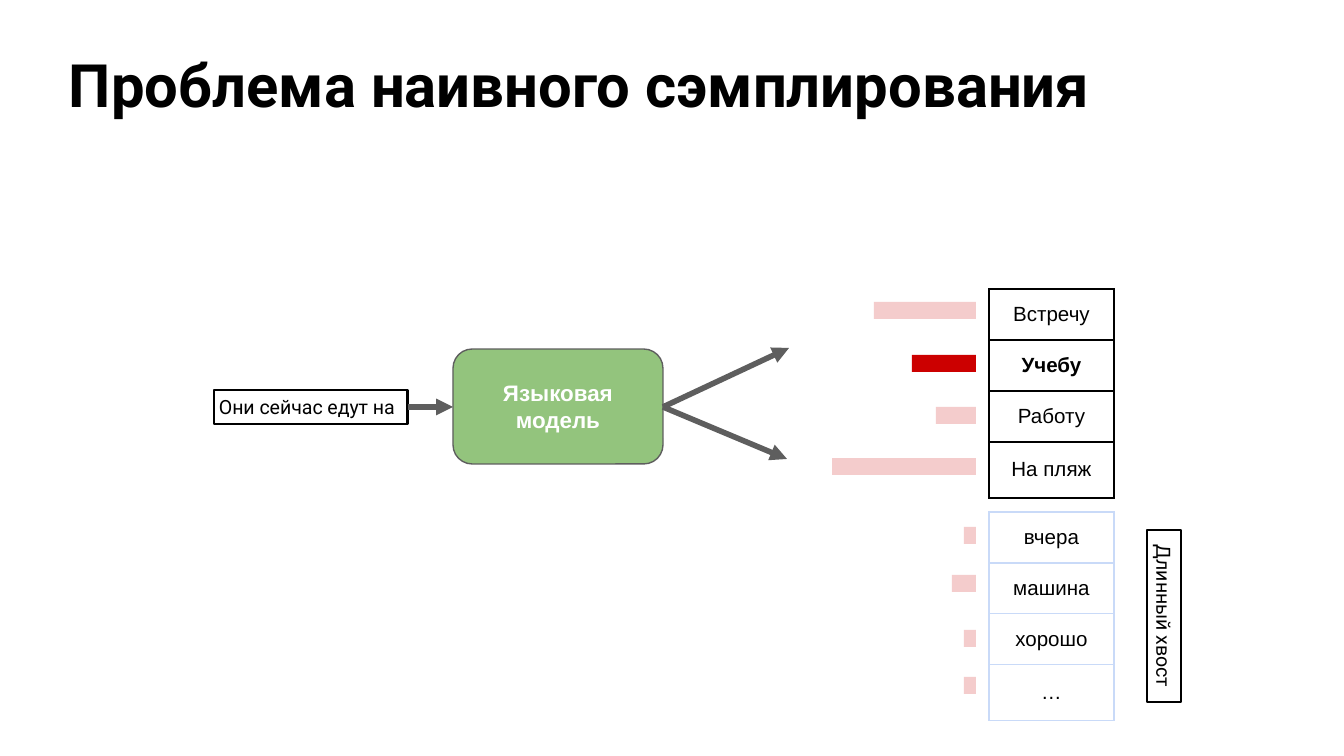
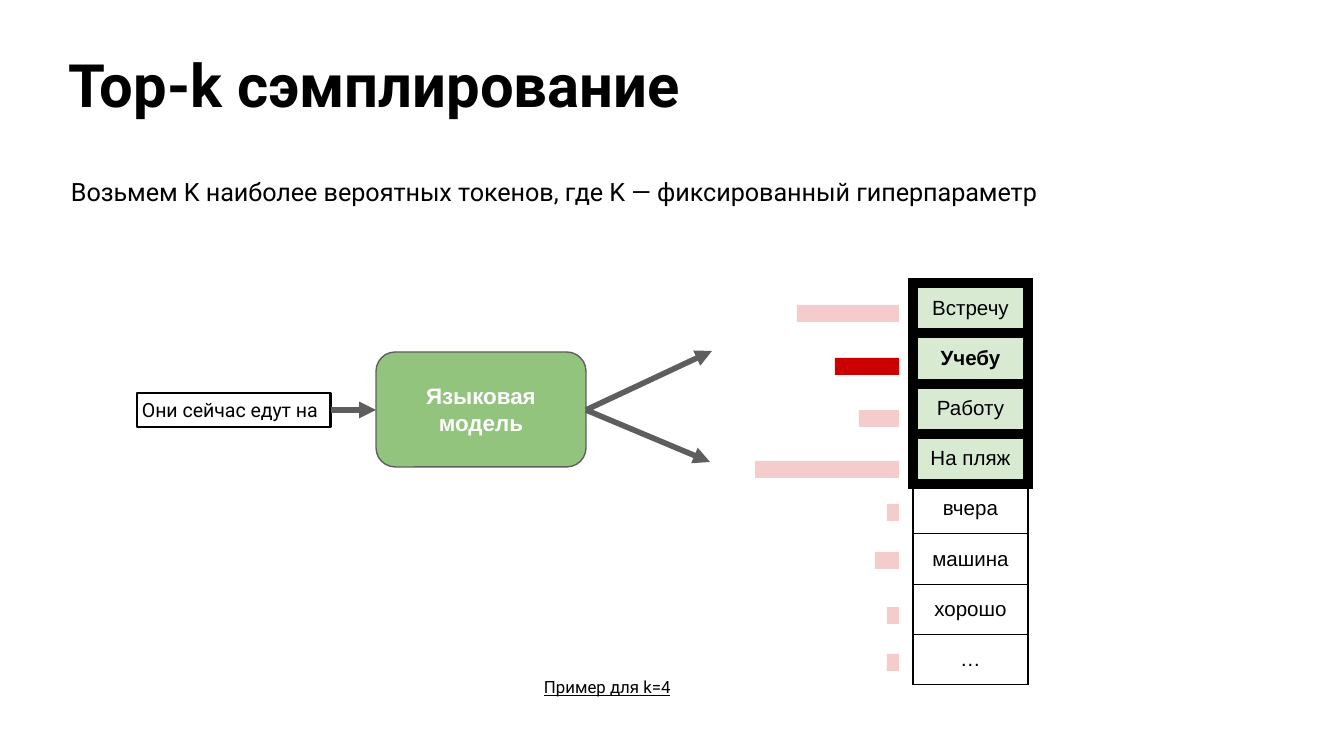
import pptx
import pptx.util
import pptx.dml.color
import pptx.enum.shapes
import pptx.enum.text
import pptx.oxml
import pptx.oxml.ns
import lxml.etree

EMU_PER_PX = 914400 / 134.4
COLORS = {
    "black": "000000", "white": "FFFFFF", "gray": "5E5E5E", "green": "93C47D",
    "pale_green": "D9EAD3", "red": "CC0000", "pale_red": "F4CCCC", "pale_blue": "C9DAF8",
}
ALIGN = pptx.enum.text.PP_ALIGN
ANCHOR = pptx.enum.text.MSO_ANCHOR
SHAPES = pptx.enum.shapes.MSO_SHAPE
RGB = pptx.dml.color.RGBColor.from_string
PT = pptx.util.Pt


def px(value):
    return round(value * EMU_PER_PX)


def add_text(frame, text, size, font="Roboto", color="black", bold=False,
             underline=False, align=ALIGN.LEFT, anchor=ANCHOR.TOP, margin=5,
             line_spacing=None, grow=False):
    frame.word_wrap = True
    if grow:
        frame.auto_size = pptx.enum.text.MSO_AUTO_SIZE.SHAPE_TO_FIT_TEXT
    frame.vertical_anchor = anchor
    frame.margin_left = frame.margin_right = px(margin)
    frame.margin_top = frame.margin_bottom = px(margin)
    paragraph = frame.paragraphs[0]
    paragraph.alignment = align
    if line_spacing:
        paragraph.line_spacing = line_spacing
    run = paragraph.add_run()
    run.text = text
    run.font.name = font
    run.font.size = PT(size)
    run.font.bold = bold
    run.font.underline = underline
    run.font.color.rgb = RGB(COLORS[color])


TOP_WORDS = ["Встречу", "Учебу", "Работу", "На пляж"]
TAIL_WORDS = ["вчера", "машина", "хорошо", "…"]
CHOSEN_WORD = "Учебу"

# Bars: top, width, colour; all end at the same right edge
BAR_RIGHT, BAR_HEIGHT = 976, 17
TOP_BARS = [(302, 102, "pale_red"), (355, 64, "red"),
            (407, 40, "pale_red"), (458, 144, "pale_red")]
TAIL_BARS = [(527, 12, "pale_red"), (575, 24, "pale_red"),
             (630, 12, "pale_red"), (677, 12, "pale_red")]
ARROWS = [(408, 407, 453, 407), (663, 407, 789, 348), (663, 407, 787, 459)]

# Row styles: border colour, border width in points, fill
TOP_ROW = ("black", 1, None)
TAIL_ROW = ("pale_blue", 0.75, None)
KEPT_ROW = ("black", 6, "pale_green")
CUT_ROW = ("black", 0.75, None)

# Tables: left, top, width, row heights, words, row styles
SLIDES = [
    {"title": "Проблема наивного сэмплирования",
     "shift": (0, 0), "tail_shift": 0,
     "tables": [
         (989, 289, 125, [51, 51, 51, 56], TOP_WORDS, [TOP_ROW] * 4),
         (989, 512, 125, [51, 51, 51, 56], TAIL_WORDS, [TAIL_ROW] * 4)],
     "labels": []},
    {"title": "Top-k сэмплирование",
     "shift": (-77, 3), "tail_shift": -23,
     "tables": [
         (913, 283, 115, [50, 51, 50, 50] * 2, TOP_WORDS + TAIL_WORDS,
          [KEPT_ROW] * 4 + [CUT_ROW] * 4)],
     "labels": [
         (66, 171, 996, 40, 13.5, False,
          "Возьмем K наиболее вероятных токенов, где K — фиксированный гиперпараметр"),
         (539, 672, 155, 31, 9, True, "Пример для k=4")]},
]

presentation = pptx.Presentation()
presentation.slide_width = px(1344)
presentation.slide_height = px(756)

for content in SLIDES:
    slide = presentation.slides.add_slide(presentation.slide_layouts[6])
    shapes = slide.shapes
    dx, dy = content["shift"]

    title = shapes.add_textbox(px(66), px(59), px(1211), px(79))
    add_text(title.text_frame, content["title"], size=32, bold=True, margin=3,
             line_spacing=0.8)

    prompt = shapes.add_shape(SHAPES.RECTANGLE, px(214 + dx), px(390 + dy), px(194), px(34))
    prompt.shadow.inherit = False
    prompt.fill.background()
    prompt.line.color.rgb = RGB(COLORS["black"])
    prompt.line.width = PT(1.5)
    add_text(prompt.text_frame, "Они сейчас едут на", size=10.5, grow=True)

    model = shapes.add_shape(SHAPES.ROUNDED_RECTANGLE, px(453 + dx), px(349 + dy),
                             px(210), px(115))
    model.shadow.inherit = False
    model.fill.solid()
    model.fill.fore_color.rgb = RGB(COLORS["green"])
    model.line.color.rgb = RGB(COLORS["gray"])
    model.line.width = PT(0.75)
    add_text(model.text_frame, "Языковая модель", size=12, font="Arial", color="white",
             bold=True, align=ALIGN.CENTER, anchor=ANCHOR.MIDDLE)

    for x1, y1, x2, y2 in ARROWS:
        arrow = shapes.add_connector(pptx.enum.shapes.MSO_CONNECTOR.STRAIGHT,
                                     px(x1 + dx), px(y1 + dy), px(x2 + dx), px(y2 + dy))
        arrow.line.color.rgb = RGB(COLORS["gray"])
        arrow.line.width = PT(3)
        properties = arrow.element.spPr
        line = properties.find(pptx.oxml.ns.qn("a:ln"))
        lxml.etree.SubElement(line, pptx.oxml.ns.qn("a:tailEnd"), type="triangle")
        lxml.etree.SubElement(properties, pptx.oxml.ns.qn("a:effectLst"))

    for bars, bar_shift in ((TOP_BARS, dy), (TAIL_BARS, content["tail_shift"])):
        for top, width, color in bars:
            bar = shapes.add_shape(SHAPES.RECTANGLE, px(BAR_RIGHT + dx - width),
                                   px(top + bar_shift), px(width), px(BAR_HEIGHT))
            bar.shadow.inherit = False
            bar.fill.solid()
            bar.fill.fore_color.rgb = RGB(COLORS[color])
            bar.line.fill.background()

    for left, top, width, heights, words, styles in content["tables"]:
        table = shapes.add_table(len(words), 1, px(left), px(top), px(width),
                                 px(sum(heights))).table
        table.first_row = table.horz_banding = False
        table.columns[0].width = px(width)
        for index, word in enumerate(words):
            table.rows[index].height = px(heights[index])
            cell = table.cell(index, 0)
            cell.vertical_anchor = ANCHOR.MIDDLE
            cell.margin_left = cell.margin_right = px(5)
            cell.margin_top = cell.margin_bottom = px(5)
            add_text(cell.text_frame, word, size=11, font="Arial",
                     bold=word == CHOSEN_WORD, align=ALIGN.CENTER)
            border_color, border_width, fill = styles[index]
            if fill:
                cell.fill.solid()
                cell.fill.fore_color.rgb = RGB(COLORS[fill])
            else:
                cell.fill.background()
            cell_properties = cell._tc.get_or_add_tcPr()
            for position, side in enumerate(("lnL", "lnR", "lnT", "lnB")):
                # A shared edge takes the style of the row above
                edge = styles[index - 1] if side == "lnT" and index else styles[index]
                cell_properties.insert(position, pptx.oxml.parse_xml(
                    f'<a:{side} {pptx.oxml.ns.nsdecls("a")} w="{PT(edge[1])}">'
                    f'<a:solidFill><a:srgbClr val="{COLORS[edge[0]]}"/></a:solidFill>'
                    f'</a:{side}>'))

    for left, top, width, height, size, underline, text in content["labels"]:
        label = shapes.add_textbox(px(left), px(top), px(width), px(height))
        add_text(label.text_frame, text, size=size, underline=underline, grow=True)

tail_label = presentation.slides[0].shapes.add_shape(
    SHAPES.RECTANGLE, px(1078), px(599), px(172), px(34))
tail_label.rotation = 90
tail_label.shadow.inherit = False
tail_label.fill.background()
tail_label.line.color.rgb = RGB(COLORS["black"])
tail_label.line.width = PT(0.75)
add_text(tail_label.text_frame, "Длинный хвост", size=10.5, align=ALIGN.CENTER, grow=True)

presentation.save("out.pptx")
